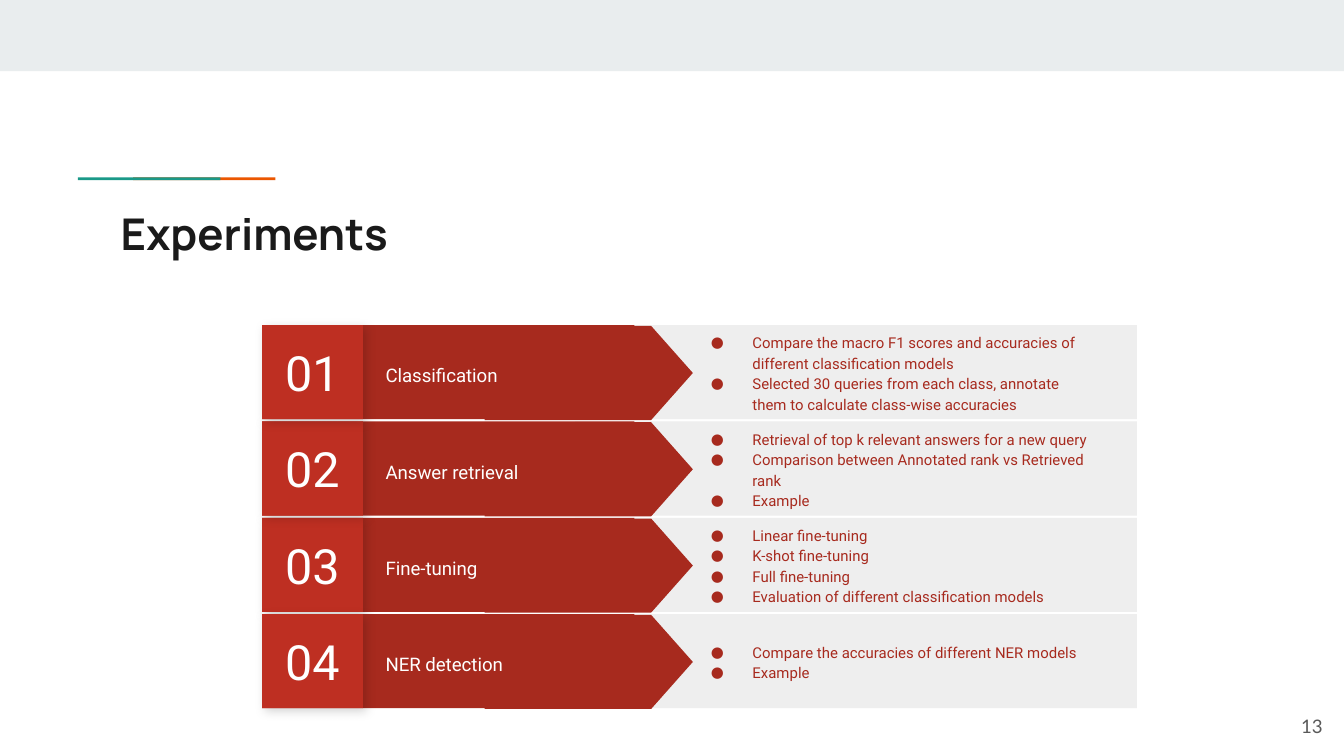
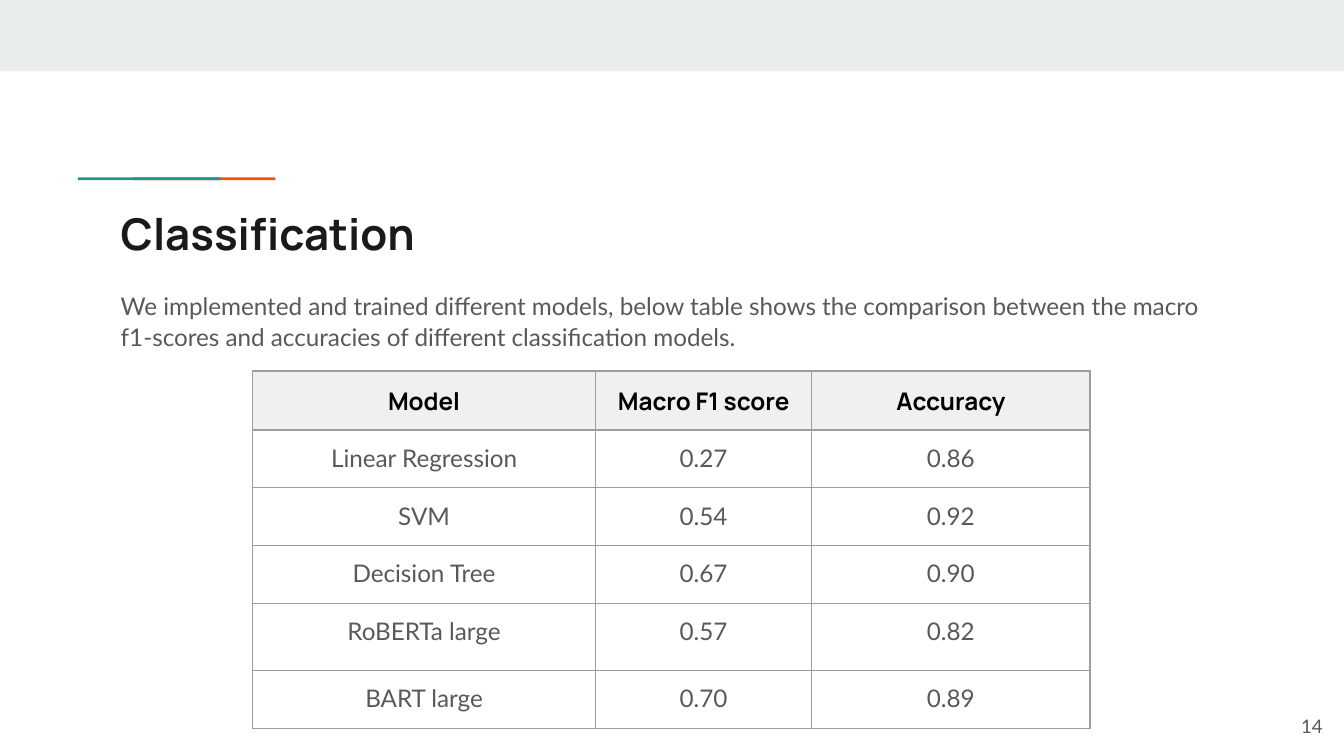
import pptx
import pptx.util
import pptx.dml.color
import pptx.enum.shapes
import pptx.enum.text
import pptx.oxml
import pptx.oxml.ns

Inches, Pt = pptx.util.Inches, pptx.util.Pt
SHAPE = pptx.enum.shapes.MSO_SHAPE
ALIGN = pptx.enum.text.PP_ALIGN
ANCHOR = pptx.enum.text.MSO_ANCHOR

# Content
STEPS = [
    ("Classification", [
        "Compare the macro F1 scores and accuracies of different classification models",
        "Selected 30 queries from each class, annotate them to calculate class-wise accuracies"]),
    ("Answer retrieval", [
        "Retrieval of top k relevant answers for a new query",
        "Comparison between Annotated rank vs Retrieved rank",
        "Example"]),
    ("Fine-tuning", [
        "Linear fine-tuning",
        "K-shot fine-tuning",
        "Full fine-tuning",
        "Evaluation of different classification models"]),
    ("NER detection", [
        "Compare the accuracies of different NER models",
        "Example"]),
]
INTRO = ("We implemented and trained different models, below table shows the comparison "
         "between the macro f1-scores and accuracies of different classification models.")
SCORES = [
    ("Model", "Macro F1 score", "Accuracy"),
    ("Linear Regression", "0.27", "0.86"),
    ("SVM", "0.54", "0.92"),
    ("Decision Tree", "0.67", "0.90"),
    ("RoBERTa large", "0.57", "0.82"),
    ("BART large", "0.70", "0.89"),
]

# Shared style
HEAD, BODY, LABEL = "Manrope", "Lato", "Roboto"
INK, GREY, WHITE, BLACK = "1A1A1A", "595959", "FFFFFF", "000000"
BAND, TEAL, ORANGE = "E9EDEE", "1A9988", "EB5600"
PALE, RED, BRIGHT, DEEP = "EEEEEE", "A72A1E", "BE2F22", "B02C20"
EDGE = "9E9E9E"

# Step rows and score table
TOP, LAST, HIGH = 2.42, 4.57, 0.7
PITCH = (LAST - TOP) / (len(STEPS) - 1)
DRAW = (2, 1, 0, 3)  # each shadow falls on the row below it
COLS = (2.55, 1.61, 2.07)
ROWS = (0.44, 0.43, 0.43, 0.43, 0.5, 0.43)


def color(code):
    return pptx.dml.color.RGBColor.from_string(code)


def xml(tag, body="", **attrs):
    space = pptx.oxml.ns.nsdecls("a")
    node = pptx.oxml.parse_xml(f"<a:{tag} {space}>{body}</a:{tag}>")
    for name, value in attrs.items():
        node.set(name, str(value))
    return node


def box(part, at, fill, kind=SHAPE.RECTANGLE):
    shape = part.shapes.add_shape(kind, *map(Inches, at))
    shape.shadow.inherit = False
    shape.fill.solid()
    shape.fill.fore_color.rgb = color(fill)
    shape.line.fill.background()
    return shape


def write(frame, lines, size, font, code, bold=False, align=ALIGN.LEFT, gap=None):
    frame.text = "\n".join(lines)
    frame.word_wrap = True
    frame.margin_left = frame.margin_right = Inches(0.1)
    frame.margin_top = frame.margin_bottom = Inches(0.1)
    for para in frame.paragraphs:
        para.alignment = align
        if gap:
            para.line_spacing = gap
        for run in para.runs:
            run.font.size = Pt(size)
            run.font.name = font
            run.font.bold = bold
            run.font.color.rgb = color(code)


def label(part, at, lines, *style, anchor=ANCHOR.MIDDLE, **more):
    frame = part.shapes.add_textbox(*map(Inches, at)).text_frame
    write(frame, lines, *style, **more)
    frame.vertical_anchor = anchor
    return frame


def bullet(para):
    props = para._p.get_or_add_pPr()
    props.set("marL", str(Inches(0.5)))
    props.set("indent", str(Inches(-0.31)))
    props.append(xml("buClr", f'<a:srgbClr val="{RED}"/>'))
    props.append(xml("buSzPts", val=800))
    props.append(xml("buFont", typeface=LABEL))
    props.append(xml("buChar", char="●"))


def shade(shape):
    effects = shape._element.spPr.find(pptx.oxml.ns.qn("a:effectLst"))
    ink = f'<a:srgbClr val="{BLACK}"><a:alpha val="17000"/></a:srgbClr>'
    effects.append(xml("outerShdw", ink, blurRad=Pt(5.6), dist=Pt(2.2), dir=45 * 60000))


def page(deck, title, number):
    slide = deck.slides.add_slide(deck.slide_layouts[6])
    box(slide, (0, 0, 10, 0.53), BAND)
    box(slide, (0.99, 1.32, 1.06, 0.02), ORANGE)
    box(slide, (0.58, 1.32, 1.06, 0.02), TEAL)
    label(slide, (0.8, 1.44, 8.41, 0.59), [title], 23.4, HEAD, INK,
          bold=True, anchor=ANCHOR.TOP)
    label(slide, (9.34, 5.19, 0.6, 0.43), [str(number)], 10, BODY, GREY, align=ALIGN.RIGHT)
    return slide


def step(slide, index):
    name, points = STEPS[index]
    top = TOP + index * PITCH
    group = slide.shapes.add_group_shape()
    box(group, (4.28, top, 4.18, HIGH), PALE)
    box(group, (2.7, top, 2.02, HIGH), RED)
    arrow = box(group, (4.03, top - 0.42, HIGH, 1.55), RED, SHAPE.FLOWCHART_OFFPAGE_CONNECTOR)
    arrow.rotation = 270
    label(group, (2.77, top + 0.09, 2.12, 0.54), [name], 10, LABEL, WHITE, gap=1.15)

    square = (1.95, top, 0.75, HIGH)
    shade(box(group, square, DEEP))
    badge = box(group, square, BRIGHT).text_frame
    write(badge, [f"{index + 1:02}"], 26, LABEL, WHITE, align=ALIGN.CENTER)
    badge.vertical_anchor = ANCHOR.MIDDLE

    notes = label(group, (5, top, 3.25, HIGH), points, 8, LABEL, RED, gap=1.15)
    for para in notes.paragraphs:
        bullet(para)


def border(cell):
    props = cell._tc.get_or_add_tcPr()
    ink = f'<a:solidFill><a:srgbClr val="{EDGE}"/></a:solidFill>'
    for spot, side in enumerate(("lnL", "lnR", "lnT", "lnB")):
        props.insert(spot, xml(side, ink, w=Pt(0.75)))


def grid(slide):
    size = (1.88, 2.76, sum(COLS), sum(ROWS))
    table = slide.shapes.add_table(len(ROWS), len(COLS), *map(Inches, size)).table
    for col, width in zip(table.columns, COLS):
        col.width = Inches(width)
    for row, height in zip(table.rows, ROWS):
        row.height = Inches(height)
    for r, values in enumerate(SCORES):
        for c, value in enumerate(values):
            cell = table.cell(r, c)
            style = (HEAD, BLACK, True) if r == 0 else (BODY, GREY, False)
            write(cell.text_frame, [value], 13, *style, align=ALIGN.CENTER)
            cell.margin_left = cell.margin_right = Inches(0.1)
            cell.margin_top = cell.margin_bottom = Inches(0.1)
            if r == 0:
                cell.fill.solid()
                cell.fill.fore_color.rgb = color(PALE)
                tint = next(cell._tc.tcPr.iter(pptx.oxml.ns.qn("a:srgbClr")))
                tint.append(xml("alpha", val=87000))
            else:
                cell.fill.background()
            border(cell)


def main():
    # Widescreen 16:9
    deck = pptx.Presentation()
    deck.slide_width = Inches(10)
    deck.slide_height = Inches(10 * 9 / 16)

    # Experiments
    slide = page(deck, "Experiments", 13)
    for index in DRAW:
        step(slide, index)

    # Classification
    slide = page(deck, "Classification", 14)
    intro = label(slide, (0.8, 2.06, 8.41, 0.66), [INTRO], 13, BODY, GREY,
                  anchor=ANCHOR.TOP, gap=1.05)
    intro.paragraphs[0].space_after = Pt(12)
    grid(slide)

    deck.save("out.pptx")


if __name__ == "__main__":
    main()
